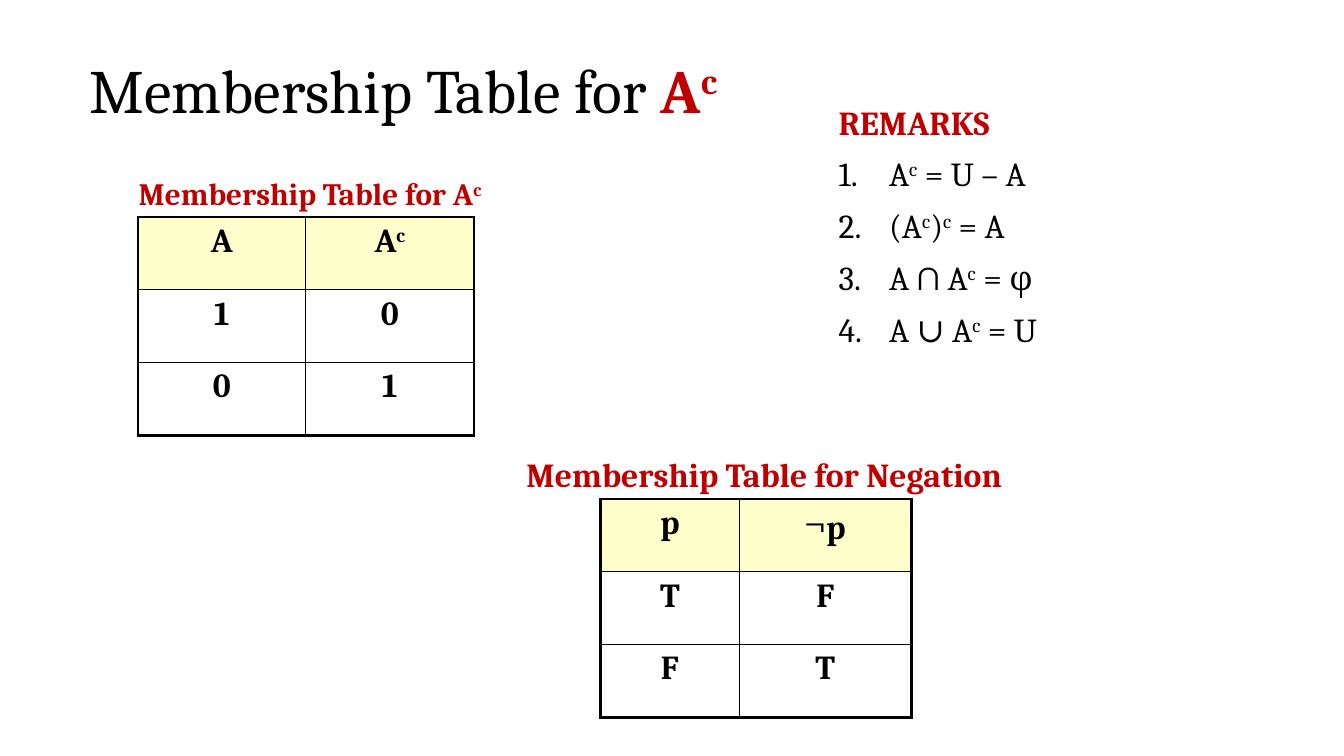
from pptx import Presentation
from pptx.dml.color import RGBColor
from pptx.enum.text import MSO_ANCHOR as ANCHOR, MSO_AUTO_SIZE as AUTO, PP_ALIGN as ALIGN
from pptx.oxml.ns import qn
from pptx.util import Pt
from lxml.etree import SubElement

RED, BLACK, CREAM = "C00000", "000000", "FFFFCC"


def rgb(value):
    return RGBColor.from_string(value)


class Deck:
    font = "Cambria"

    def __init__(self):
        self.prs = Presentation()
        self.prs.slide_width, self.prs.slide_height = Pt(960), Pt(540)
        self.s = self.prs.slides.add_slide(self.prs.slide_layouts[5])

    def runs(self, p, text, size=24, color=BLACK, bold=False):
        """Add text to a paragraph; the letter after each ^ is raised."""
        first, *rest = text.split("^")
        pieces = [(first, False)]
        for part in rest:
            pieces += [(part[0], True), (part[1:], False)]
        for piece, raised in pieces:
            if not piece:
                continue
            r = p.add_run()
            r.text = piece
            r.font.name, r.font.size, r.font.bold = self.font, Pt(size), bold
            r.font.color.rgb = rgb(color)
            if raised:
                r.font._element.set("baseline", "30000")

    def title(self, x, y, w, h, parts):
        sp = self.s.shapes.title
        sp.left, sp.top, sp.width, sp.height = Pt(x), Pt(y), Pt(w), Pt(h)
        tf = sp.text_frame
        tf.auto_size, tf.vertical_anchor = AUTO.NONE, ANCHOR.BOTTOM
        p = tf.paragraphs[0]
        p.alignment, p.line_spacing = ALIGN.LEFT, 0.9
        for text, color, bold in parts:
            self.runs(p, text, 44, color, bold)

    def box(self, x, y, w, h, anchor=ANCHOR.TOP):
        tf = self.s.shapes.add_textbox(Pt(x), Pt(y), Pt(w), Pt(h)).text_frame
        tf.word_wrap, tf.vertical_anchor = True, anchor
        return tf

    def caption(self, x, y, w, h, text, size=24):
        tf = self.box(x, y, w, h, ANCHOR.BOTTOM)
        self.runs(tf.paragraphs[0], text, size, RED, True)

    def numbered(self, x, y, w, h, heading, items):
        tf = self.box(x, y, w, h)
        self.runs(tf.paragraphs[0], heading, color=RED, bold=True)
        for item in items:
            p = tf.add_paragraph()
            pPr = p._p.get_or_add_pPr()
            pPr.set("marL", str(Pt(36)))
            pPr.set("indent", str(Pt(-36)))
            SubElement(pPr, qn("a:buAutoNum"), type="arabicPeriod")
            p.space_before = Pt(8.2)
            self.runs(p, item)

    def border(self, cell, side, width):
        ln = SubElement(cell._tc.get_or_add_tcPr(), qn(f"a:ln{side}"), w=str(Pt(width)))
        fill = SubElement(ln, qn("a:solidFill"))
        SubElement(fill, qn("a:srgbClr"), val=BLACK)

    def table(self, x, y, widths, row_height, rows):
        n_rows, n_cols = len(rows), len(widths)
        t = self.s.shapes.add_table(n_rows, n_cols, Pt(x), Pt(y), Pt(sum(widths)),
                                    Pt(row_height * n_rows)).table
        t.first_row = t.horz_banding = False
        for col, width in zip(t.columns, widths):
            col.width = Pt(width)
        for i, row in enumerate(rows):
            t.rows[i].height = Pt(row_height)
            for j, parts in enumerate(row):
                cell = t.cell(i, j)
                # Thick outer frame, thin inner rules
                outer = {"L": j == 0, "R": j == n_cols - 1, "T": i == 0, "B": i == n_rows - 1}
                for side, thick in outer.items():
                    self.border(cell, side, 2.25 if thick else 1)
                if i == 0:
                    cell.fill.solid()
                    cell.fill.fore_color.rgb = rgb(CREAM)
                else:
                    cell.fill.background()
                p = cell.text_frame.paragraphs[0]
                p.alignment = ALIGN.CENTER
                for text, size, bold in parts:
                    self.runs(p, text, size, bold=bold)


def plain(*texts):
    return [[(text, 24, True)] for text in texts]


def main():
    deck = Deck()

    # Title
    deck.title(57, 34, 648, 60, [("Membership Table for ", BLACK, False), ("A^c", RED, True)])

    # Remarks
    deck.numbered(592, 69, 270, 211, "REMARKS",
                  ["A^c = U – A", "(A^c)^c = A", "A ∩ A^c = φ", "A ∪ A^c = U"])

    # Complement table
    deck.caption(92, 101, 262, 54, "Membership Table for A^c", 22.2)
    deck.table(98.5, 155, [120, 120], 52, [plain("A", "A^c"), plain("1", "0"), plain("0", "1")])

    # Negation table
    negation = [("¬", 28, False), ("p", 24, True)]
    deck.table(429, 356.5, [99, 123], 52,
               [plain("p") + [negation], plain("T", "F"), plain("F", "T")])
    deck.caption(369, 302.5, 390, 54, "Membership Table for Negation")

    deck.prs.save("out.pptx")


if __name__ == "__main__":
    main()
